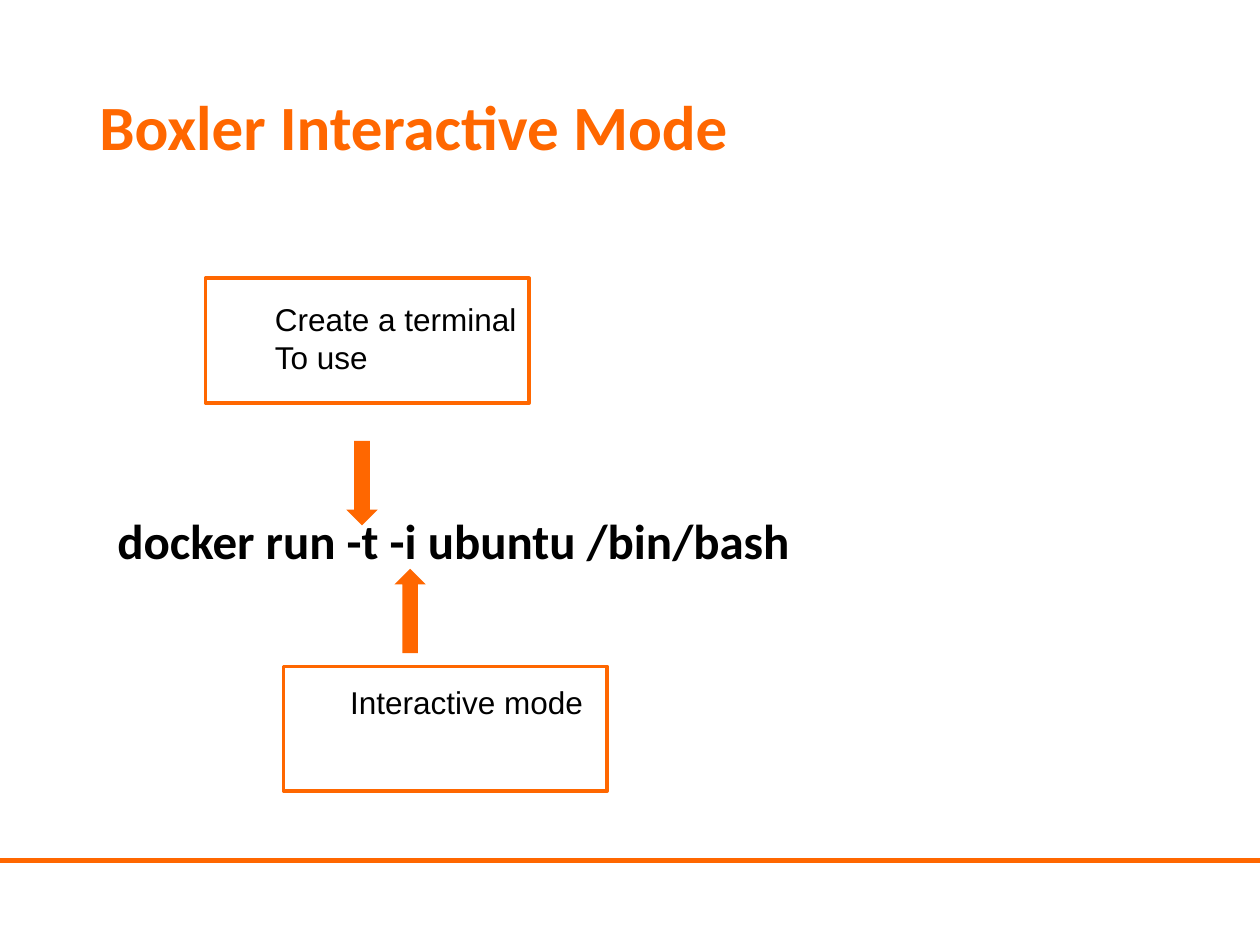
from pptx import Presentation
from pptx.dml.color import RGBColor
from pptx.enum.shapes import MSO_CONNECTOR, MSO_SHAPE
from pptx.enum.text import MSO_ANCHOR
from pptx.oxml.ns import qn
from pptx.util import Pt
from lxml.etree import SubElement

COLORS = {"brand": "FF6700", "ink": "000000", "paper": "FFFFFF"}
HEAD = {"name": "Calibri", "size": Pt(36), "bold": True}
CODE = {"name": "Calibri", "size": Pt(28), "bold": True}
NOTE = {"name": "Arial", "size": Pt(18), "bold": False}


class Deck:
    def __init__(self, wide, high):
        self.file = Presentation()
        self.file.slide_width, self.file.slide_height = Pt(wide), Pt(high)
        self.slide = self.file.slides.add_slide(self.file.slide_layouts[6])

    def color(self, name):
        return RGBColor.from_string(COLORS[name])

    def text(self, area, lines, style, hue="ink", anchor=MSO_ANCHOR.TOP, space=1.0):
        frame = self.slide.shapes.add_textbox(*map(Pt, area)).text_frame
        frame.word_wrap = True
        frame.vertical_anchor = anchor
        frame.text = "\n".join(lines)
        for para in frame.paragraphs:
            para.line_spacing = space
            for key, value in style.items():
                setattr(para.font, key, value)
            para.font.color.rgb = self.color(hue)

    def shape(self, kind, area, fill):
        item = self.slide.shapes.add_shape(kind, *map(Pt, area))
        item.shadow.inherit = False
        item.fill.solid()
        item.fill.fore_color.rgb = self.color(fill)
        return item

    def box(self, left, top):
        item = self.shape(MSO_SHAPE.RECTANGLE, (left, top, 185, 71.3), "paper")
        item.line.color.rgb = self.color("brand")
        item.line.width = Pt(2)

    def arrow(self, left, top, turn=0):
        item = self.shape(MSO_SHAPE.DOWN_ARROW, (left, top, 17.8, 48.2), "brand")
        item.line.fill.background()
        item.rotation = turn

    def rule(self, top, width):
        item = self.slide.shapes.add_connector(
            MSO_CONNECTOR.STRAIGHT, Pt(0), Pt(top), Pt(720), Pt(top))
        item.line.color.rgb = self.color("brand")
        item.line.width = Pt(width)
        SubElement(item.element.spPr, qn("a:effectLst"))


def main():
    deck = Deck(720, 540)
    deck.rule(491.8, 3)
    deck.text((49.7, 28.8, 620.6, 91.4), ["Boxler Interactive Mode"], HEAD,
              "brand", MSO_ANCHOR.MIDDLE, 0.9)
    deck.text((60, 288, 648, 185), ["docker run -t -i ubuntu /bin/bash"], CODE)
    deck.box(117.4, 159)
    deck.text((150, 168, 186, 51), ["Create a terminal", "To use"], NOTE)
    deck.arrow(198, 252)
    deck.box(162, 380.8)
    deck.arrow(225.4, 325, 180)
    deck.text((193, 386.6, 186, 29), ["Interactive mode"], NOTE)
    deck.file.save("out.pptx")


if __name__ == "__main__":
    main()
